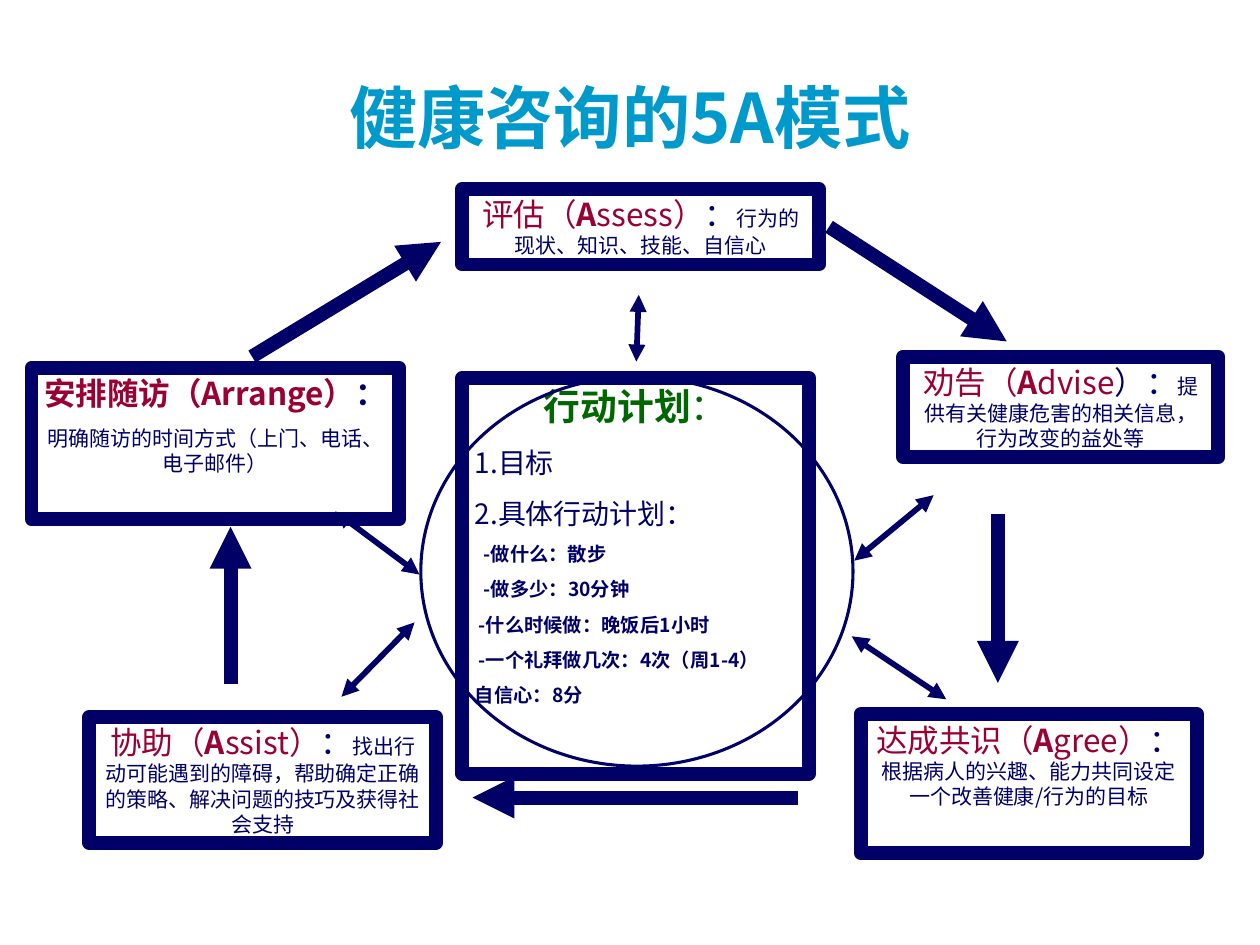
from lxml.etree import SubElement
from pptx import Presentation
from pptx.dml.color import RGBColor
from pptx.enum.shapes import MSO_CONNECTOR, MSO_SHAPE
from pptx.enum.text import MSO_ANCHOR, MSO_AUTO_SIZE, PP_ALIGN
from pptx.oxml.ns import qn
from pptx.util import Inches, Pt

NAVY, RED, GREEN, CYAN = "000066", "990033", "006600", "0099CC"
SANS, SERIF = "Noto Sans CJK SC", "Times New Roman"
THICK, THIN, OUTLINE = 8, 3.25, 1.75

# Content: a run is (text, size, colour, bold[, font])
TITLE = ("健康咨询的5A模式", 39, CYAN, True)

# Steps: place, then name, bold initial, rest, colon and description
STEPS = [
    ((3.67, 1.5, 2.83, 0.6), "评估（", "A", "ssess）", "：",
     "行为的现状、知识、技能、自信心"),
    ((7.17, 2.83, 2.5, 0.8), "劝告（", "A", "dvise", "）：",
     "提供有关健康危害的相关信息，行为改变的益处等"),
    ((6.83, 5.67, 2.67, 1.1), "达成共识（", "A", "gree）", "：",
     "根据病人的兴趣、能力共同设定一个改善健康/行为的目标"),
    ((0.71, 5.69, 2.75, 1), "协助（", "A", "ssist）", "：",
     "找出行动可能遇到的障碍，帮助确定正确的策略、解决问题的技巧及获得社会支持"),
]
ARRANGE_PLACE = (0.25, 2.92, 2.92, 1.2)
ARRANGE_HEAD = [("安排随访（Arrange）", 18, RED, True), ("：", 18, NAVY, True)]
ARRANGE_NOTE = [("明确随访的时间方式（上门、电话、电子邮件）", 12, NAVY, False, SERIF)]

PLAN_PLACE = (3.67, 3, 2.75, 3.14)
PLAN_HEAD = [("行动计划", 21, GREEN, True), ("：", 21, GREEN, False)]
PLAN_GOALS = ["1.目标", "2.具体行动计划："]
PLAN_DETAILS = [  # text, left indent
    ("-做什么：散步", 0.07),
    ("-做多少：30分钟", 0.07),
    ("-什么时候做：晚饭后1小时", 0.03),
    ("-一个礼拜做几次：4次（周1-4）", 0.03),
    ("自信心：8分", 0),
]
CIRCLE_PLACE = (3.34, 2.99, 3.43, 3.09)

CYCLE_ARROWS = [
    (6.58, 1.8, 7.99, 2.71),
    (7.92, 4.08, 7.92, 5.42),
    (6.33, 6.33, 3.75, 6.33),
    (1.83, 5.43, 1.83, 4.18),
    (2, 2.83, 3.5, 1.92),
]
PLAN_ARROWS = [
    (5.07, 2.34, 5.05, 2.87),
    (7.41, 3.93, 6.78, 4.45),
    (2.66, 4.06, 3.33, 4.56),
    (3.29, 4.94, 2.71, 5.53),
    (6.76, 5.05, 7.51, 5.55),
]


def color(value):
    return RGBColor.from_string(value)


def inches(place):
    return [Inches(length) for length in place]


def write(frame, paragraphs):
    """Fill a frame; a paragraph is (runs, alignment, space before, indent)."""
    frame.word_wrap = True
    for index, (runs, align, before, indent) in enumerate(paragraphs):
        para = frame.add_paragraph() if index else frame.paragraphs[0]
        para.alignment = align
        if index:
            para.space_before = Pt(before)
        if indent:
            para._p.get_or_add_pPr().set("marL", str(Inches(indent)))
        for text, size, shade, bold, *font in runs:
            span = para.add_run()
            span.text = text
            span.font.size = Pt(size)
            span.font.bold = bold
            span.font.color.rgb = color(shade)
            span.font.name = font[0] if font else SANS
            SubElement(span.font._element, qn("a:ea"), typeface=SANS)


def add_outline(page, kind, place, width):
    shape = page.shapes.add_shape(kind, *inches(place))
    shape.shadow.inherit = False
    shape.fill.background()
    shape.line.color.rgb = color(NAVY)
    shape.line.width = Pt(width)
    return shape


def add_box(page, place, paragraphs):
    frame = add_outline(page, MSO_SHAPE.RECTANGLE, place, THICK).text_frame
    frame.vertical_anchor = MSO_ANCHOR.TOP
    write(frame, paragraphs)
    frame.auto_size = MSO_AUTO_SIZE.SHAPE_TO_FIT_TEXT


def add_arrow(page, ends, width, tips):
    arrow = page.shapes.add_connector(MSO_CONNECTOR.STRAIGHT, *inches(ends))
    arrow.line.color.rgb = color(NAVY)
    arrow.line.width = Pt(width)
    for tip in tips:
        SubElement(arrow.line._get_or_add_ln(), qn(tip), type="triangle")
    SubElement(arrow._element.spPr, qn("a:effectLst"))


def main():
    deck = Presentation()
    deck.slide_width, deck.slide_height = Inches(10), Inches(7.5)
    page = deck.slides.add_slide(deck.slide_layouts[6])
    center, left = PP_ALIGN.CENTER, PP_ALIGN.LEFT

    # Title
    title = page.shapes.add_textbox(*inches((0.75, 0.42, 8.5, 1))).text_frame
    title.vertical_anchor = MSO_ANCHOR.MIDDLE
    write(title, [([TITLE], center, 0, 0)])

    # Action plan in the middle
    plan = [(PLAN_HEAD, center, 0, 0)]
    plan += [([(goal, 16, NAVY, False)], left, 10, 0) for goal in PLAN_GOALS]
    plan += [([(detail, 11, NAVY, True)], left, 6.9, indent)
             for detail, indent in PLAN_DETAILS]
    add_box(page, PLAN_PLACE, plan)

    # Five steps around it
    for place, name, initial, rest, colon, description in STEPS:
        runs = [(name, 18, RED, False), (initial, 18, RED, True),
                (rest, 18, RED, False), (colon, 18, NAVY, False),
                (description, 12, NAVY, False)]
        add_box(page, place, [(runs, center, 0, 0)])
    add_box(page, ARRANGE_PLACE, [(ARRANGE_HEAD, center, 0, 0),
                                  (ARRANGE_NOTE, center, 7.5, 0)])

    # Cycle arrows, circle and two-way arrows to the plan
    for ends in CYCLE_ARROWS:
        add_arrow(page, ends, THICK, ["a:tailEnd"])
    add_outline(page, MSO_SHAPE.OVAL, CIRCLE_PLACE, OUTLINE)
    for ends in PLAN_ARROWS:
        add_arrow(page, ends, THIN, ["a:headEnd", "a:tailEnd"])

    deck.save("out.pptx")


if __name__ == "__main__":
    main()
